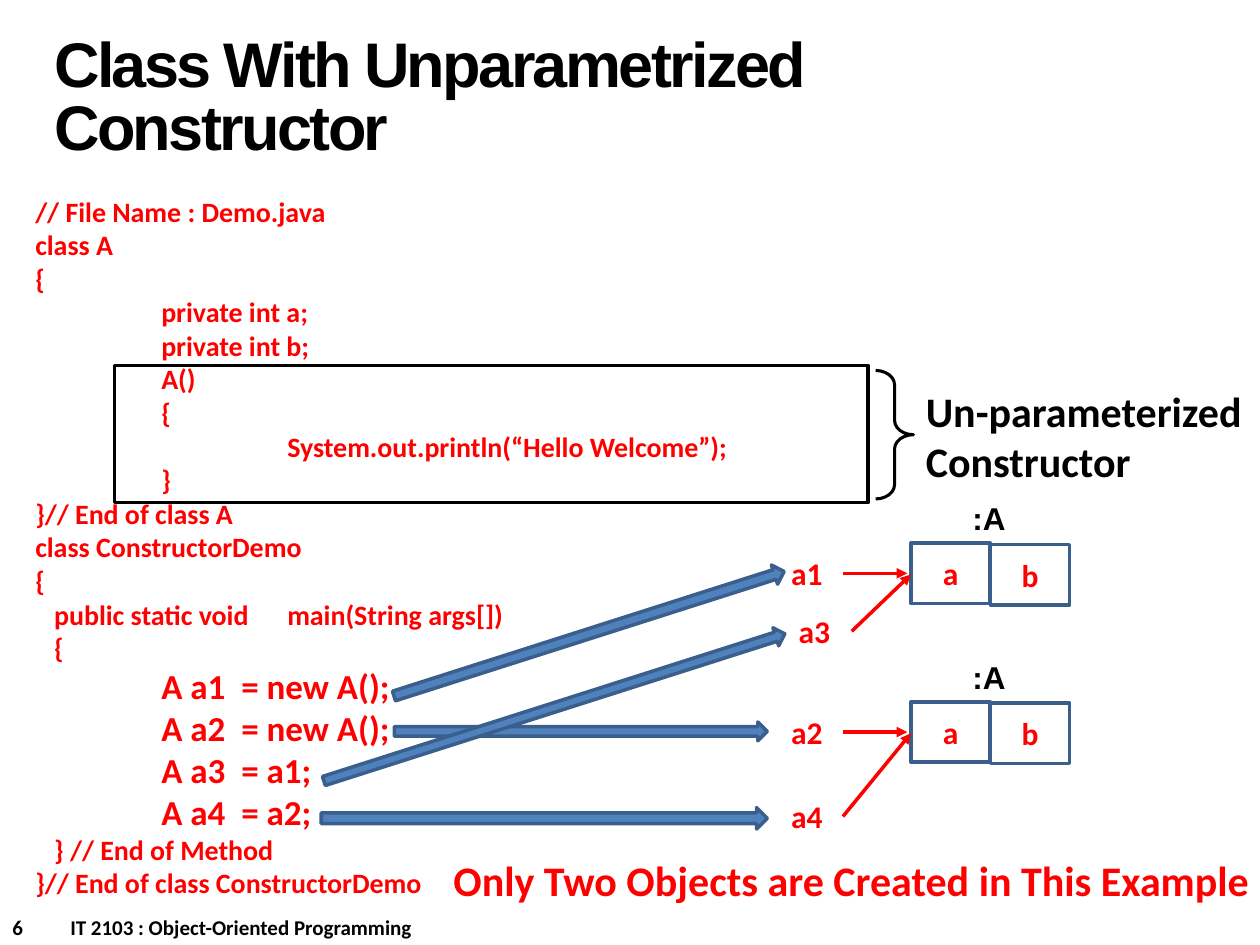
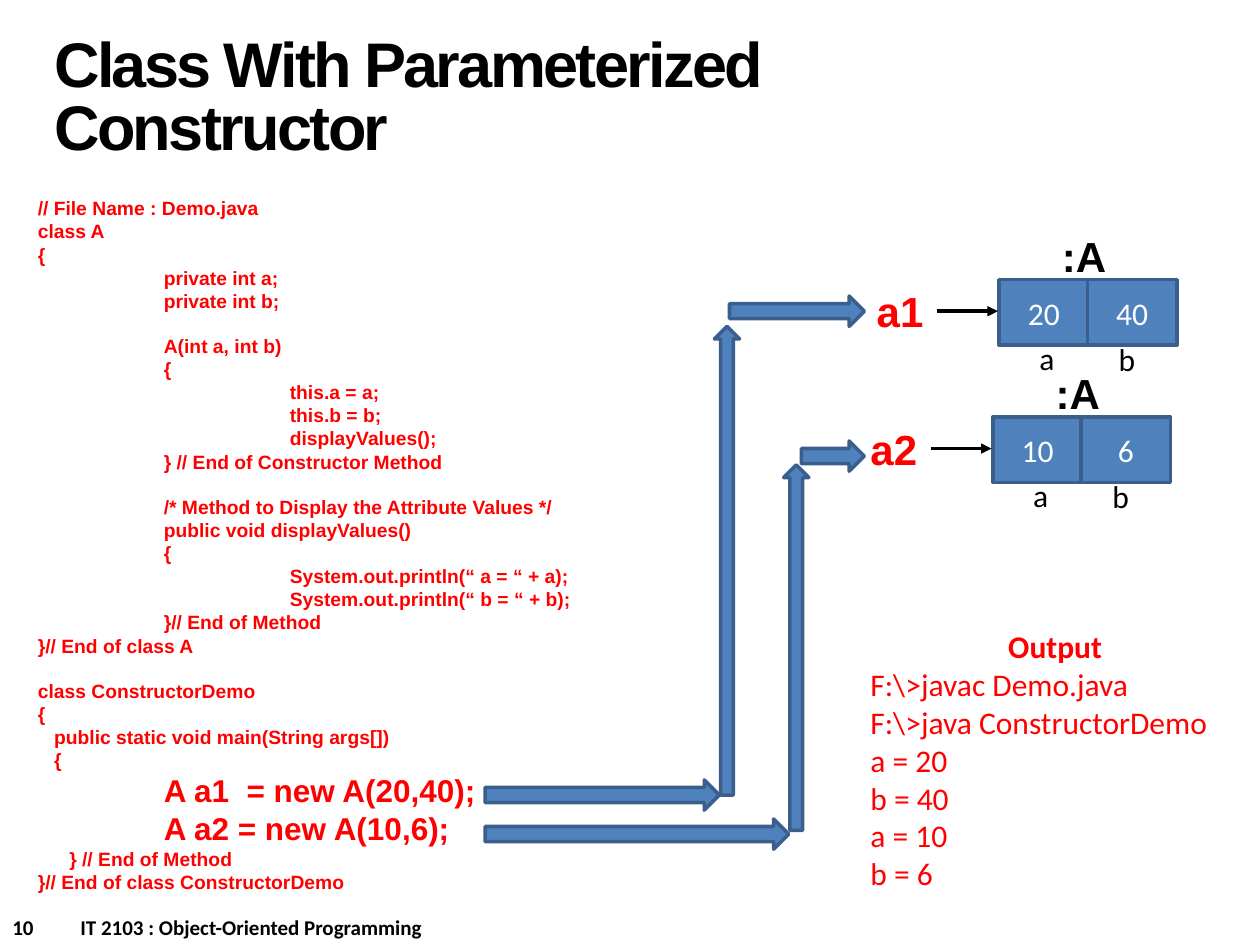
from pptx import Presentation
from pptx.util import Inches, Pt
from pptx.dml.color import RGBColor
from pptx.enum.shapes import MSO_SHAPE, MSO_CONNECTOR
from pptx.enum.text import PP_ALIGN, MSO_ANCHOR, MSO_AUTO_SIZE
from pptx.oxml.ns import qn
from lxml.etree import SubElement

HUES = {"red": "FF0000", "black": "000000", "white": "FFFFFF",
        "blue": "4F81BD", "edge": "3A5F8C"}
COURSE = "IT 2103 : Object-Oriented Programming"


def write(shape, lines, size, hue="red", font="Calibri", bold=True,
          align=PP_ALIGN.LEFT, wrap=False):
    """Fill a shape with one paragraph per line, all in one style."""
    frame = shape.text_frame
    frame.text = "\n".join(lines)
    frame.word_wrap = wrap
    frame.auto_size = MSO_AUTO_SIZE.NONE
    for para in frame.paragraphs:
        para.alignment = align
        para.space_before = Pt(0)
        for run in para.runs:
            run.font.size = Pt(size)
            run.font.name = font
            run.font.bold = bold
            run.font.color.rgb = RGBColor.from_string(HUES[hue])
    return frame


def draw(page, kind, box, fill=None, edge="edge", width=2):
    """Add a preset shape with a plain fill and outline."""
    shape = page.shapes.add_shape(kind, *map(Inches, box))
    shape.shadow.inherit = False
    if fill:
        shape.fill.solid()
        shape.fill.fore_color.rgb = RGBColor.from_string(HUES[fill])
    else:
        shape.fill.background()
    shape.line.color.rgb = RGBColor.from_string(HUES[edge])
    shape.line.width = Pt(width)
    return shape


# Code listings: (indent in inches, text)
plain = [
    (0, "// File Name : Demo.java"),
    (0, "class A"),
    (0, "{"),
    (1, "private int a;"),
    (1, "private int b;"),
    (1, "A()"),
    (1, "{"),
    (2, "System.out.println(“Hello Welcome”);"),
    (1, "}"),
    (0, "}// End of class A"),
    (0, "class ConstructorDemo"),
    (0, "{"),
    (0.15, "public static void\tmain(String args[])"),
    (0.15, "{"),
    (1, "A a1  = new A();"),
    (1, "A a2  = new A();"),
    (1, "A a3  = a1;"),
    (1, "A a4  = a2;"),
    (0.15, "} // End of Method"),
    (0, "}// End of class ConstructorDemo"),
]
param = [
    (0, "// File Name : Demo.java"),
    (0, "class A"),
    (0, "{"),
    (1, "private int a;"),
    (1, "private int b;"),
    (1, "A(int a, int b)"),
    (1, "{"),
    (2, "this.a = a;"),
    (2, "this.b = b;"),
    (2, "displayValues();"),
    (1, "} // End of Constructor Method"),
    (1, "/* Method to Display the Attribute Values */"),
    (1, "public void displayValues()"),
    (1, "{"),
    (2, "System.out.println(“ a = “ + a);"),
    (2, "System.out.println(“ b = “ + b);"),
    (1, "}// End of Method"),
    (0, "}// End of class A"),
    (0, "class ConstructorDemo"),
    (0, "{"),
    (0.13, "public static void main(String args[])"),
    (0.13, "{"),
    (1, "A a1  = new A(20,40);"),
    (1, "A a2 = new A(10,6);"),
    (0.25, "} // End of Method"),
    (0, "}// End of class ConstructorDemo"),
]
gaps = ("A(int", "/* Method", "class ConstructorDemo")

# Per slide: number, footer tab, title, code, code box, font, size, big size, gap
plans = [
    (6, 0.46, "Class With Unparametrized Constructor", plain,
     (0.18, 1.49, 5.76, 5.76), "Calibri", 16, 20, 0),
    (10, 0.54, "Class With Parameterized Constructor", param,
     (0.2, 1.51, 4.49, 5.71), "Arial", 11, 18, 12.65),
]

deck = Presentation()
deck.slide_width, deck.slide_height = Inches(10), Inches(7.5)
pages = []

# Shared parts: title, code and footer
for num, stop, title, code, box, font, size, big, gap in plans:
    page = deck.slides.add_slide(deck.slide_layouts[1])
    pages.append(page)

    head, body = page.shapes.title, page.placeholders[1]
    for shape, place in ((head, (0.33, 0.17, 6.92, 1.25)), (body, box)):
        shape.left, shape.top, shape.width, shape.height = map(Inches, place)
    frame = write(head, [title], 36, "black", "Arial", wrap=True)
    frame.vertical_anchor = MSO_ANCHOR.MIDDLE
    para = frame.paragraphs[0]
    para.line_spacing = Pt(36)
    para.runs[0].font._element.set("spc", "-150")

    frame = write(body, [text for _, text in code], size, font=font, wrap=True)
    for para, (dent, text) in zip(frame.paragraphs, code):
        if text.startswith("A a"):
            para.runs[0].font.size = Pt(big)
        if text.startswith(gaps):
            para.space_before = Pt(gap)
        props = para._p.get_or_add_pPr()
        props.set("marL", "0")
        props.set("indent", str(Inches(dent)))
        SubElement(props, qn("a:buNone"))

    foot = page.shapes.add_textbox(Inches(0), Inches(7.21), Inches(5), Inches(0.3))
    frame = write(foot, [f"{num}\t{COURSE}"], 12, "black", wrap=True)
    tabs = SubElement(frame.paragraphs[0]._p.get_or_add_pPr(), qn("a:tabLst"))
    SubElement(tabs, qn("a:tab"), pos=str(Inches(stop)), algn="l")

first, last = pages

# Constructor frame and brace
draw(first, MSO_SHAPE.RECTANGLE, (0.91, 2.9, 5.98, 1.09), edge="black")
brace = draw(first, MSO_SHAPE.RIGHT_BRACE, (6.95, 2.94, 0.3, 1.02),
             edge="black", width=1.75)
brace.adjustments[0] = 0.378

# Block arrows: page, box, rotation
for page, box, turn in [
    (first, (3.05, 4.95, 3.25, 0.16), 342.3),
    (first, (3.13, 5.73, 2.96, 0.15), 0),
    (first, (2.48, 5.54, 3.84, 0.15), 342.3),
    (first, (2.55, 6.41, 3.54, 0.17), 0),
    (last, (3.85, 6.19, 1.86, 0.24), 0),
    (last, (5.79, 2.35, 1.07, 0.24), 0),
    (last, (3.91, 4.35, 3.72, 0.2), 270),
    (last, (3.85, 6.5, 2.41, 0.24), 0),
    (last, (4.87, 5.04, 2.9, 0.2), 270),
    (last, (6.36, 3.5, 0.5, 0.24), 0),
]:
    draw(page, MSO_SHAPE.RIGHT_ARROW, box, "blue").rotation = turn

# Objects: cells, with labels and links gathered for the loops below
labels = [
    (first, (7.25, 3.01, 2.73, 0.91), ["Un-parameterized", "Constructor"],
     24, "black", "Calibri", True),
    (first, (3.5, 6.73, 6.7, 0.5),
     ["Only Two Objects are Created in This Example"], 24, "red", "Calibri", True),
]
links = []

for top in (4.31, 5.57):
    for col, name in enumerate("ab"):
        cell = draw(first, MSO_SHAPE.RECTANGLE,
                    (7.23 + 0.63 * col, top + 0.01 * col, 0.63, 0.48))
        write(cell, [name], 18, align=PP_ALIGN.CENTER, wrap=True)
    labels.append((first, (7.62, top - 0.4, 0.47, 0.4), [":A"],
                   18, "black", "Arial", True))
    links.append((first, (6.69, top + 0.24, 7.2, top + 0.24), "red"))
links += [(first, (6.76, 5.01, 7.23, 4.56), "red"),
          (first, (6.69, 6.48, 7.23, 5.82), "red")]

for name, left, top in [("a1", 6.18, 4.35), ("a3", 6.24, 4.81),
                        ("a2", 6.18, 5.61), ("a4", 6.18, 6.28)]:
    labels.append((first, (left, top, 0.46, 0.4), [name],
                   18, "red", "Calibri", True))

for name, left, top, vals in [("a1", 6.86, 2.22, ("20", "40")),
                              ("a2", 6.81, 3.31, ("10", "6"))]:
    for col, val in enumerate(vals):
        cell = draw(last, MSO_SHAPE.RECTANGLE,
                    (left + 1.07 + 0.7 * col, top, 0.71, 0.52), "blue")
        write(cell, [val], 18, "white", bold=False,
              align=PP_ALIGN.CENTER, wrap=True)
        labels.append((last, (left + 1.29 + 0.63 * col, top + 0.42 + 0.01 * col,
                              0.32 + 0.02 * col, 0.4), ["ab"[col]],
                       18, "black", "Calibri", False))
    labels += [(last, (left, top, 0.58, 0.5), [name], 24, "red", "Arial", True),
               (last, (left + 1.47, top - 0.44, 0.56, 0.5), [":A"],
                24, "black", "Arial", True)]
    links.append((last, (left + 0.58, top + 0.25, left + 1.06, top + 0.25), "black"))

# Labels
for page, box, lines, size, hue, font, bold in labels:
    note = page.shapes.add_textbox(*map(Inches, box))
    write(note, lines, size, hue, font, bold)

# Reference arrows
for page, ends, hue in links:
    link = page.shapes.add_connector(MSO_CONNECTOR.STRAIGHT, *map(Inches, ends))
    link.line.color.rgb = RGBColor.from_string(HUES[hue])
    link.line.width = Pt(2)
    SubElement(link.line._get_or_add_ln(), qn("a:tailEnd"), type="triangle")
    SubElement(link._element.spPr, qn("a:effectLst"))

# Program output
out = last.shapes.add_textbox(Inches(6.81), Inches(4.93), Inches(3.13), Inches(2.22))
frame = write(out, ["Output", "F:\\>javac Demo.java", "F:\\>java ConstructorDemo",
                    "a = 20", "b = 40", "a = 10", "b = 6"],
              18, bold=False, wrap=True)
frame.paragraphs[0].alignment = PP_ALIGN.CENTER
frame.paragraphs[0].runs[0].font.bold = True

deck.save("out.pptx")
